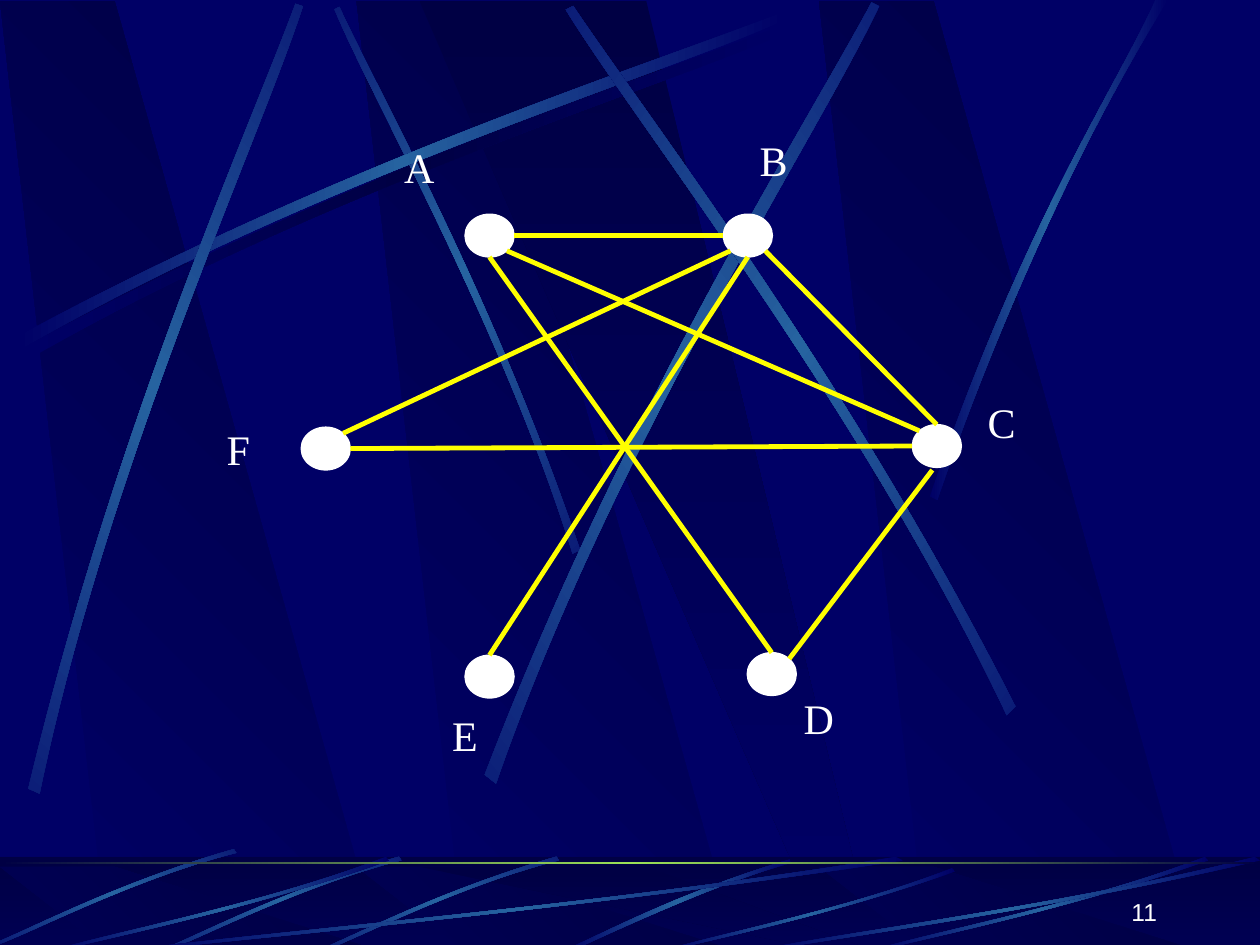
from copy import deepcopy
from math import cos, radians, sin

from lxml import etree
from pptx import Presentation
from pptx.dml.color import RGBColor
from pptx.enum.shapes import MSO_CONNECTOR, MSO_SHAPE
from pptx.enum.text import MSO_ANCHOR, PP_ALIGN
from pptx.oxml.ns import qn
from pptx.util import Inches, Pt

RECT, OVAL = MSO_SHAPE.RECTANGLE, MSO_SHAPE.OVAL
STRAIGHT = MSO_CONNECTOR.STRAIGHT
LEFT, RIGHT = PP_ALIGN.LEFT, PP_ALIGN.RIGHT
TOP, BOTTOM = MSO_ANCHOR.TOP, MSO_ANCHOR.BOTTOM

COLS, ROWS = 10, 7.5
COLORS = {
    "navy": "000066", "dark": "000044", "steel": "2663A0",
    "lime": "9CE157", "white": "FFFFFF", "yellow": "FFFF00",
}
GLOW = ("navy", "steel", "navy")

NODE_W, NODE_H = 0.39, 0.34
NODES = {
    "A": (3.69, 1.7), "B": (5.74, 1.7), "F": (2.39, 3.39),
    "E": (3.69, 5.2), "C": (7.24, 3.37), "D": (5.93, 5.18),
}
LABELS = {
    "A": (3.11, 1.07, 0.63), "B": (5.93, 1.02, 0.61), "C": (7.74, 3.1, 0.61),
    "D": (6.28, 5.45, 0.63), "E": (3.49, 5.58, 0.58), "F": (1.7, 3.31, 0.55),
}
SITES = {
    "top": (0, -1), "bottom": (0, 1), "left": (-1, 0), "right": (1, 0),
    "top left": (-0.71, -0.71), "top right": (0.71, -0.71),
    "bottom left": (-0.71, 0.71), "bottom right": (0.71, 0.71),
    "below": (-0.18, 1.12),
}
EDGES = [
    ("A", "right", "B", "left"),
    ("A", "bottom", "D", "top"),
    ("C", "top left", "A", "bottom right"),
    ("D", "top right", "C", "below"),
    ("B", "bottom right", "C", "top"),
    ("F", "right", "C", "left"),
    ("F", "top right", "B", "bottom left"),
    ("B", "bottom", "E", "top"),
]

LONG_BEAM = [(0.14, 2.67), (2.78, 1.25), (5.18, 0.51), (6.2, 0.1),
             (6.23, 0.16), (5.22, 0.61), (2.48, 1.43), (0.17, 2.77)]
THIN_BEAM = [(4.6, 4.36), (3.91, 2.34), (3.02, 0.77), (2.69, 0.05),
             (2.65, 0.07), (2.95, 0.79), (3.98, 2.58), (4.54, 4.39)]
STEEP_BEAMS = [
    (311.7, [(0.23, 6.25), (0.93, 3.34), (1.97, 1.05), (2.35, 0.02),
             (2.41, 0.04), (2.07, 1.09), (0.86, 3.68), (0.32, 6.29)]),
    (321.6, [(3.85, 6.14), (4.98, 3.2), (6.38, 1.02), (6.92, 0.01),
             (6.98, 0.04), (6.49, 1.08), (4.86, 3.55), (3.94, 6.21)]),
    (34.7, [(8.06, 5.6), (6.7, 2.93), (5.16, 0.95), (4.55, 0.04),
            (4.49, 0.07), (5.07, 1.01), (6.85, 3.25), (7.99, 5.67)]),
]
RIGHT_BEAM = [(7.38, 3.94), (8.14, 1.73), (8.88, 0.66), (9.17, 0),
              (9.27, 0), (8.36, 1.45), (7.69, 3.22), (7.44, 3.97)]
FLOOR_BEAM = [(4.48, 7.54), (4.77, 7.42), (5.37, 7.09), (6.27, 6.82),
              (6.28, 6.85), (5.71, 7), (4.9, 7.38), (4.53, 7.55)]
SHORT_BEAM = [(4.42, 6.8), (3.55, 7.05), (2.87, 7.4), (2.56, 7.53),
              (2.57, 7.55), (2.88, 7.43), (3.65, 7.03), (4.44, 6.83)]
STREAK = [(1, 0.04), (0.57, 0.57), (0.17, 0.85), (0.01, 1),
          (0, 0.99), (0.16, 0.81), (0.62, 0.51), (0.99, 0)]
STREAK_BOXES = [(1, 6.8, 6.17, 0.75), (0.42, 6.8, 2.67, 0.75), (5.27, 6.89, 2.31, 0.66),
                (6.92, 6.8, 2.67, 0.75), (6, 6.8, 4, 0.75)]
BAND = [(0.86, 1), (3.02, 1), (0.91, 0), (0, 0)]
WEDGE = [(0, 0), (3.25, 1), (3.61, 1), (1.8, 0)]


def rgb(name):
    return RGBColor.from_string(COLORS[name])


def place(points, dx=0, dy=0, sx=1, sy=1):
    return [(dx + x * sx, dy + y * sy) for x, y in points]


def turn(points, degrees):
    cx, cy = [(min(v) + max(v)) / 2 for v in zip(*points)]
    c, s = cos(radians(degrees)), sin(radians(degrees))
    return [(cx + (x - cx) * c - (y - cy) * s, cy + (x - cx) * s + (y - cy) * c)
            for x, y in points]


def write(tf, text, size=24, font="Times New Roman", color="white", align=LEFT, anchor=TOP):
    tf.word_wrap = True
    tf.vertical_anchor = anchor
    p = tf.paragraphs[0]
    p.alignment = align
    r = p.add_run()
    r.text = text
    r.font.size = Pt(size)
    r.font.name = font
    r.font.color.rgb = rgb(color)


class Deck:
    def __init__(self):
        self.prs = Presentation()
        self.prs.slide_width, self.prs.slide_height = Inches(10), Inches(7.5)
        self.s = self.prs.slides.add_slide(self.prs.slide_layouts[6])
        fill = self.s.background.fill
        fill.solid()
        fill.fore_color.rgb = rgb("navy")

    def x(self, col):
        return round(self.prs.slide_width * col / COLS)

    def y(self, row):
        return round(self.prs.slide_height * row / ROWS)

    def box(self, left, top, width, height):
        return self.x(left), self.y(top), self.x(width), self.y(height)

    def gradient(self, sp, colors, angle):
        sp.shadow.inherit = False
        sp.line.fill.background()
        fill = sp.fill
        fill.gradient()
        fill.gradient_angle = angle
        stops = sp._element.spPr.find(qn("a:gradFill")).find(qn("a:gsLst"))
        for _ in colors[2:]:
            stops.append(deepcopy(stops[0]))
        for i, (stop, color) in enumerate(zip(fill.gradient_stops, colors)):
            stop.color.rgb = rgb(color)
            stop.position = i / (len(colors) - 1)

    def polygon(self, points, colors, angle=0):
        pts = [(self.x(x), self.y(y)) for x, y in points]
        builder = self.s.shapes.build_freeform(*pts[0])
        builder.add_line_segments(pts[1:], close=True)
        sp = builder.convert_to_shape()
        self.gradient(sp, colors, angle)
        return sp

    def beam(self, points, colors=GLOW, rotation=0):
        sp = self.polygon(turn(points, -rotation), colors)
        sp.rotation = rotation
        lines = list(sp._element.iter(qn("a:lnTo")))
        for first in (0, 4):
            curve = etree.Element(qn("a:cubicBezTo"))
            lines[first].addprevious(curve)
            for line in lines[first:first + 3]:
                curve.append(line[0])
                line.getparent().remove(line)

    def bands(self, top, height):
        for left in (2.83, 0, 6.5):
            self.polygon(place(BAND, left, top, sy=height), ("navy", "dark"), 45)
        self.polygon(place(WEDGE, 3.33, top, sy=height), ("dark", "navy"), 270)

    def bar(self, top, height, colors, angle=0):
        sp = self.s.shapes.add_shape(RECT, *self.box(0, top, COLS, height))
        self.gradient(sp, colors, angle)

    def veil(self, top, height, color, alpha):
        sp = self.s.shapes.add_shape(RECT, *self.box(0, top, COLS, height))
        sp.shadow.inherit = False
        sp.line.fill.background()
        sp.fill.solid()
        sp.fill.fore_color.rgb = rgb(color)
        clr = sp._element.spPr.find(qn("a:solidFill"))[0]
        etree.SubElement(clr, qn("a:alpha")).set("val", str(alpha * 1000))

    def node(self, left, top):
        sp = self.s.shapes.add_shape(OVAL, *self.box(left, top, NODE_W, NODE_H))
        sp.shadow.inherit = False
        sp.fill.solid()
        sp.fill.fore_color.rgb = rgb("white")
        sp.line.color.rgb = rgb("white")
        sp.line.width = Pt(0.75)
        return sp

    def site(self, name, side):
        (left, top), (dx, dy) = NODES[name], SITES[side]
        return self.x(left + NODE_W * (1 + dx) / 2), self.y(top + NODE_H * (1 + dy) / 2)

    def edge(self, nodes, start, start_side, end, end_side):
        c = self.s.shapes.add_connector(
            STRAIGHT, *self.site(start, start_side), *self.site(end, end_side))
        if end_side == "top":
            c.end_connect(nodes[end], 0)
        c.line.color.rgb = rgb("yellow")
        c.line.width = Pt(2.75)
        etree.SubElement(c._element.spPr, qn("a:effectLst"))

    def text(self, text, left, top, width, height, **fmt):
        write(self.s.shapes.add_textbox(*self.box(left, top, width, height)).text_frame, text, **fmt)


def main():
    d = Deck()
    d.bands(0.01, 7.51)
    d.beam(place(LONG_BEAM, 0.06, 0.08), ("navy", "dark", "navy"))
    d.beam(THIN_BEAM, rotation=45)
    d.beam(LONG_BEAM)
    for rotation, points in STEEP_BEAMS:
        d.beam(points, rotation=rotation)
    d.beam(RIGHT_BEAM)

    d.bar(6.8, 0.75, ("dark", "navy"), 270)
    d.bands(6.88, 0.67)
    d.veil(6.8, 0.75, "dark", 50)
    d.beam(FLOOR_BEAM)
    for dx, dy in ((0, 0), (-1.25, 0), (-2.56, -0.06)):
        d.beam(place(SHORT_BEAM, dx, dy), rotation=315)
    for box in STREAK_BOXES:
        d.beam(place(STREAK, *box))
    d.bar(6.84, 0.02, ("dark", "lime", "dark"))

    nodes = {name: d.node(*at) for name, at in NODES.items()}
    for edge in EDGES:
        d.edge(nodes, *edge)
    for name, at in LABELS.items():
        d.text(name, *at, 0.68)
    d.text("11", 7.2, 6.9, 2.08, 0.5, size=14, font="Arial", align=RIGHT, anchor=BOTTOM)
    d.prs.save("out.pptx")


if __name__ == "__main__":
    main()
